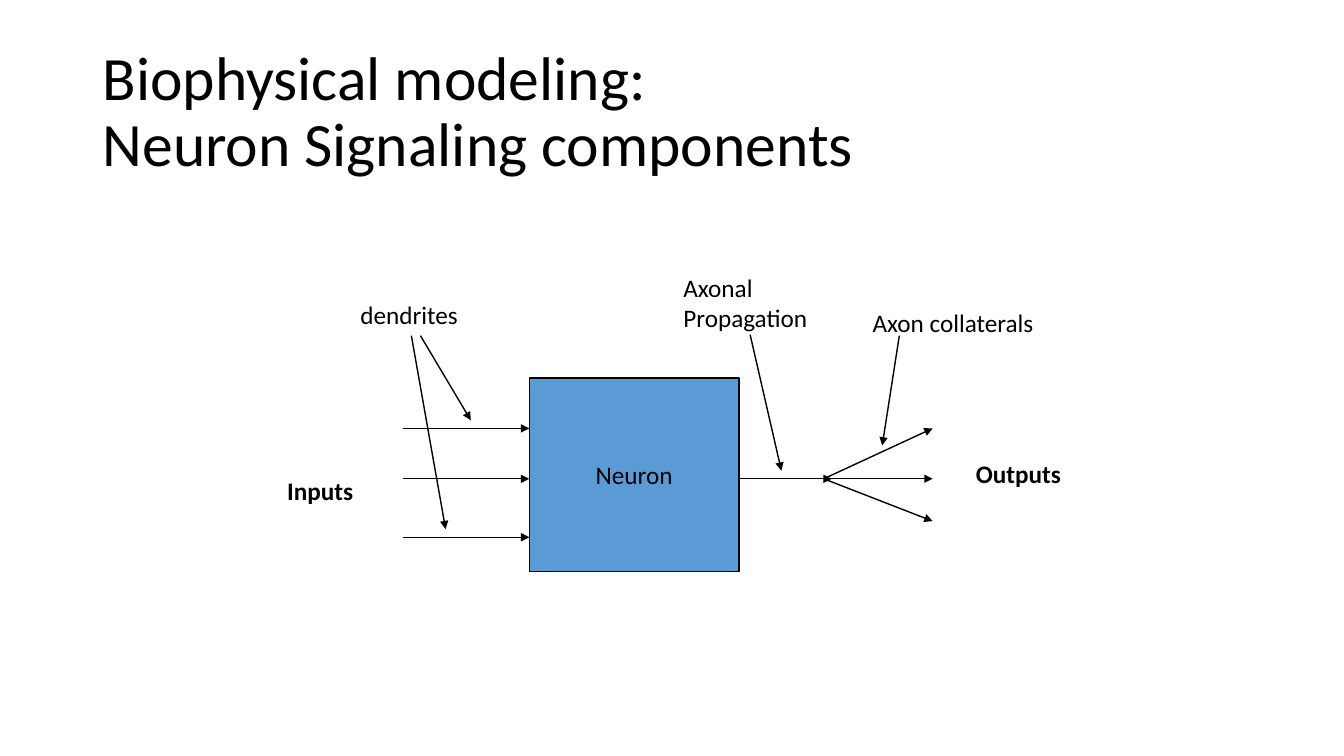
from lxml import etree
from pptx import Presentation
from pptx import util as u
from pptx.dml.color import RGBColor
from pptx.enum import shapes, text
from pptx.oxml.ns import qn

BLACK = "000000"


def color(hex_code):
    return RGBColor.from_string(hex_code)


def write(box, words, size=18, bold=False, wrap=False, align=text.PP_ALIGN.LEFT,
          anchor=text.MSO_ANCHOR.TOP, spacing=1.0):
    frame = box.text_frame
    frame.word_wrap = wrap
    frame.vertical_anchor = anchor
    for index, line in enumerate(words.split("\n")):
        para = frame.add_paragraph() if index else frame.paragraphs[0]
        para.text = line
        para.alignment = align
        para.line_spacing = spacing
        for span in para.runs:
            span.font.name = "Calibri"
            span.font.size = u.Pt(size)
            span.font.bold = bold
            span.font.color.rgb = color(BLACK)


deck = Presentation()
deck.slide_width = u.Inches(13.33)
deck.slide_height = u.Inches(7.5)
page = deck.slides.add_slide(deck.slide_layouts[6])

title = page.shapes.add_textbox(u.Inches(0.92), u.Inches(0.4), u.Inches(11.5), u.Inches(1.45))
write(title, "Biophysical modeling:\vNeuron Signaling components", size=44, wrap=True,
      anchor=text.MSO_ANCHOR.MIDDLE, spacing=0.9)

neuron = page.shapes.add_shape(shapes.MSO_SHAPE.RECTANGLE, u.Inches(5.25), u.Inches(3.75),
                               u.Inches(2.08), u.Inches(1.92))
neuron.shadow.inherit = False
neuron.fill.solid()
neuron.fill.fore_color.rgb = color("5B9BD5")
neuron.line.color.rgb = color(BLACK)
neuron.line.width = u.Pt(1)
write(neuron, "Neuron", align=text.PP_ALIGN.CENTER, anchor=text.MSO_ANCHOR.MIDDLE)

inputs = [(4, y, 5.25, y) for y in (4.25, 4.75, 5.33)]
axon = [(7.33, 4.75, 8.25, 4.75)]
collaterals = [(8.17, 4.75, 9.25, y) for y in (4.25, 4.75, 5.17)]
pointers = [
    (7.44, 3.32, 7.75, 4.67),
    (8.92, 3.33, 8.75, 4.42),
    (4.17, 3.33, 4.67, 4.17),
    (4.08, 3.33, 4.42, 5.25),
]
for ends in inputs + axon + collaterals + pointers:
    arrow = page.shapes.add_connector(shapes.MSO_CONNECTOR.STRAIGHT, *map(u.Inches, ends))
    arrow.line.color.rgb = color(BLACK)
    arrow.line.width = u.Pt(1)
    etree.SubElement(arrow.line._get_or_add_ln(), qn("a:tailEnd"), type="triangle")
    etree.SubElement(arrow._element.spPr, qn("a:effectLst"))

labels = [
    (" Axon collaterals", 8.5, 3, 2, 0.4, False),
    (" dendrites", 3.42, 2.92, 2, 0.4, False),
    ("Inputs", 2.75, 4.67, 0.86, 0.4, True),
    ("Outputs", 9.58, 4.5, 1.05, 0.4, True),
    ("Axonal\nPropagation", 6.68, 2.65, 1.44, 0.71, False),
]
for words, left, top, width, height, bold in labels:
    label = page.shapes.add_textbox(u.Inches(left), u.Inches(top), u.Inches(width), u.Inches(height))
    write(label, words, bold=bold, wrap=width == 2)

deck.save("out.pptx")
